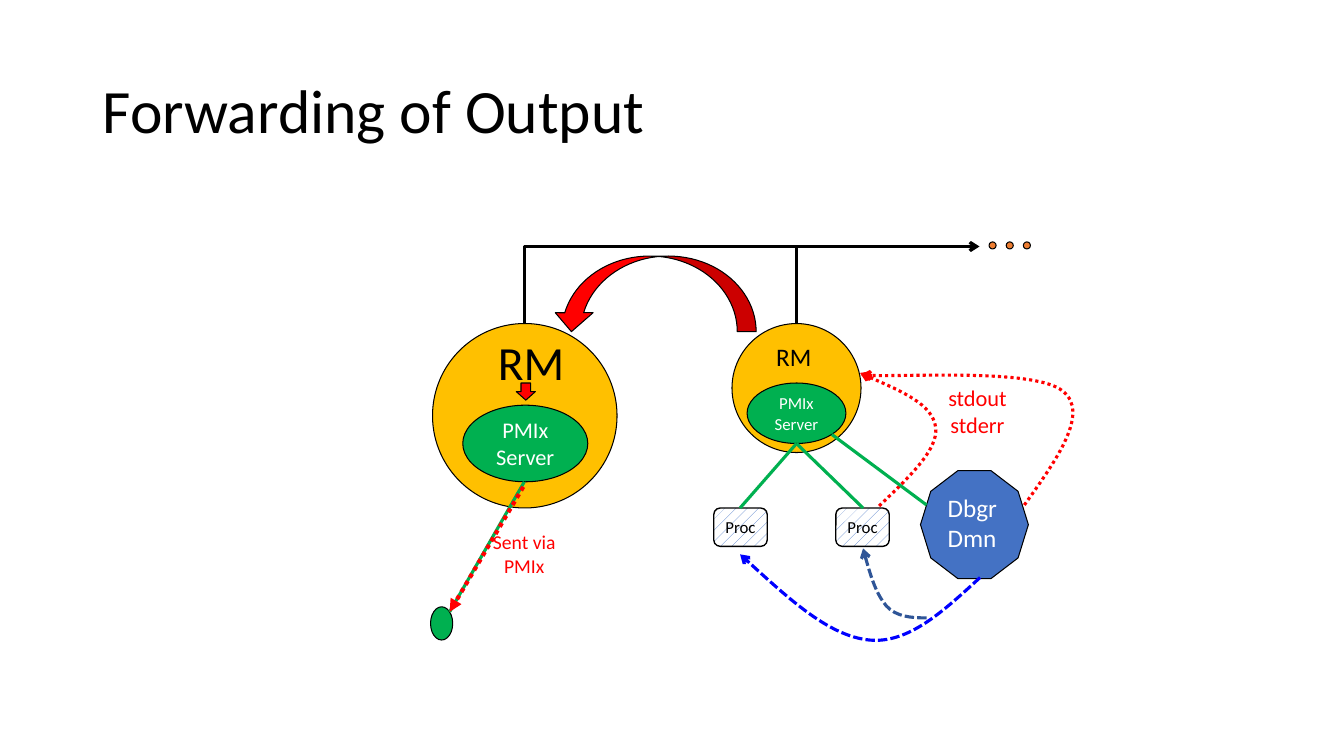
from dataclasses import dataclass
from typing import Optional

from lxml import etree
from pptx import Presentation
from pptx import util as u
from pptx.dml.color import RGBColor
from pptx.enum import dml, shapes, text
from pptx.oxml import ns

EMU_PER_PX = 9144  # 100 px to the inch
Preset = shapes.MSO_SHAPE
Dash = dml.MSO_LINE


@dataclass(frozen=True)
class Theme:
    font: str = "Calibri"
    black: str = "000000"
    white: str = "FFFFFF"
    gold: str = "FFC000"
    green: str = "00B050"
    blue: str = "4472C4"
    dark_blue: str = "2F5597"
    pure_blue: str = "0000FF"
    orange: str = "ED7D31"
    red: str = "FF0000"
    title: int = 44
    large: int = 34
    medium: int = 18
    body: int = 16
    note: int = 14
    small: int = 12
    outline: float = 0.75
    link: float = 2.25


THEME = Theme()


@dataclass
class Node:
    box: tuple[int, int, int, int]
    preset: Preset
    fill: str
    label: str = ""
    size: int = THEME.body
    color: str = THEME.white
    hatched: bool = False
    flip: bool = False


@dataclass
class Label:
    box: tuple[int, int, int, int]
    text: str
    size: int
    color: str
    centered: bool = False
    wrap: bool = False


@dataclass
class Link:
    start: tuple[int, int]
    end: tuple[int, int]
    color: str
    width: float = THEME.link
    dash: Optional[Dash] = None
    arrow: str = ""


@dataclass
class Curve:
    points: list[tuple[int, int]]  # start, then three Bézier points a section
    size: tuple[int, int]
    color: str
    dash: Dash


def px(length: int) -> int:
    return u.Emu(length * EMU_PER_PX)


def style_line(line, color: str, width: float, dash=None, arrow: str = "") -> None:
    line.color.rgb = RGBColor.from_string(color)
    line.width = u.Pt(width)
    if dash is not None:
        line.dash_style = dash
    if arrow:
        properties = line.fill._xPr
        etree.SubElement(properties, ns.qn("a:tailEnd"), type=arrow)


def write(frame, content: str, size: int, color: str, centered: bool) -> None:
    frame.text = content
    for paragraph in frame.paragraphs:
        paragraph.alignment = text.PP_ALIGN.CENTER if centered else text.PP_ALIGN.LEFT
        paragraph.font.name = THEME.font
        paragraph.font.size = u.Pt(size)
        paragraph.font.color.rgb = RGBColor.from_string(color)


def draw_node(slide, node: Node) -> None:
    shape = slide.shapes.add_shape(node.preset, *map(px, node.box))
    shape.shadow.inherit = False
    if node.hatched:
        shape.fill.patterned()
        shape.fill.pattern = dml.MSO_PATTERN.PERCENT_10
        shape.fill.fore_color.rgb = RGBColor.from_string(node.fill)
        shape.fill.back_color.rgb = RGBColor.from_string(THEME.white)
        shape.text_frame.margin_left = shape.text_frame.margin_right = 0
    else:
        shape.fill.solid()
        shape.fill.fore_color.rgb = RGBColor.from_string(node.fill)
    style_line(shape.line, THEME.black, 1 if node.hatched else THEME.outline)
    if node.flip:
        shape._element.spPr.find(ns.qn("a:xfrm")).set("flipH", "1")
    if node.label:
        shape.text_frame.vertical_anchor = text.MSO_ANCHOR.MIDDLE
        write(shape.text_frame, node.label, node.size, node.color, True)


def draw_label(slide, label: Label) -> None:
    frame = slide.shapes.add_textbox(*map(px, label.box)).text_frame
    frame.word_wrap = label.wrap
    frame.auto_size = text.MSO_AUTO_SIZE.SHAPE_TO_FIT_TEXT
    write(frame, label.text, label.size, label.color, label.centered)


def draw_link(slide, link: Link, kind=shapes.MSO_CONNECTOR.STRAIGHT):
    connector = slide.shapes.add_connector(kind, *map(px, link.start + link.end))
    style_line(connector.line, link.color, link.width, link.dash, link.arrow)
    etree.SubElement(connector._element.spPr, ns.qn("a:effectLst"))
    return connector


def draw_bus(slide, link: Link) -> None:
    """One-corner connector turned to run up, then right."""
    connector = draw_link(slide, link, shapes.MSO_CONNECTOR.ELBOW)
    properties = connector._element.spPr
    properties.find(ns.qn("a:xfrm")).set("rot", "16200000")
    properties.find(ns.qn("a:prstGeom")).set("prst", "bentConnector2")


def draw_curve(slide, curve: Curve) -> None:
    builder = slide.shapes.build_freeform(*curve.points[0], scale=EMU_PER_PX)
    builder.add_line_segments(curve.points[1:], close=False)
    shape = builder.convert_to_shape()
    outline = shape._element.spPr.find(".//" + ns.qn("a:path"))
    # Turn each three segments into one Bézier section
    segments = outline.findall(ns.qn("a:lnTo"))
    for first in range(0, len(segments), 3):
        section = etree.SubElement(outline, ns.qn("a:cubicBezTo"))
        for segment in segments[first:first + 3]:
            section.append(segment[0])
            outline.remove(segment)
    # Frame the visible curve rather than its control points
    shape.width, shape.height = map(px, curve.size)
    outline.set("w", str(curve.size[0]))
    outline.set("h", str(curve.size[1]))
    shape.shadow.inherit = False
    shape.fill.background()
    style_line(shape.line, curve.color, THEME.link, curve.dash, "arrow")


def build_parts() -> list:
    t = THEME
    oval = Preset.OVAL
    return [
        # Left resource manager and its tool
        Node((913, 467, 107, 107), Preset.DECAGON, t.blue),
        Node((429, 321, 183, 183), oval, t.gold),
        Label((484, 325, 87, 67), "RM", t.large, t.black),
        Node((459, 402, 124, 76), oval, t.green, "PMIx\nServer"),
        Node((427, 602, 22, 33), oval, t.green),
        Link((446, 607), (520, 478), t.green),
        # Right resource manager and its processes
        Node((726, 321, 128, 128), oval, t.gold),
        Label((760, 334, 55, 40), "RM", t.medium, t.black),
        Node((741, 380, 98, 60), oval, t.green, "PMIx\nServer", t.small),
        *[Node((left, 504, 53, 38), Preset.ROUNDED_RECTANGLE, t.blue, "Proc",
               t.small, t.black, hatched=True) for left in (708, 829)],
        *[Link((790, 440), (x, 504), t.green) for x in (734, 856)],
        Link((790, 245), (790, 321), t.black),
        *[Node((981 + 17 * i, 240, 7, 7), oval, t.orange) for i in range(3)],
        # Output path
        Curve([(872, 502), (901, 474), (931, 446), (928, 424),
               (925, 401), (889, 386), (853, 370)], (75, 133), t.red, Dash.ROUND_DOT),
        Label((930, 376, 79, 64), "stdout\nstderr", t.body, t.red, centered=True),
        Node((512, 380, 19, 17), Preset.DOWN_ARROW, t.red),
        Link((519, 483), (446, 607), t.red, 3, Dash.ROUND_DOT, "triangle"),
        Node((548, 254, 202, 75), Preset.CURVED_DOWN_ARROW, t.red, flip=True),
        Label((477, 521, 86, 57), "Sent via PMIx", t.note, t.red, centered=True, wrap=True),
        # Debugger daemon
        Label((930, 483, 70, 71), "Dbgr\nDmn", t.medium, t.white),
        Link((825, 431), (919, 501), t.green),
        Curve([(919, 613), (904, 613), (889, 612), (879, 601),
               (869, 589), (862, 567), (856, 544)], (62, 69), t.dark_blue, Dash.SQUARE_DOT),
        Curve([(972, 573), (936, 606), (901, 639), (862, 635),
               (822, 631), (778, 590), (734, 550)], (238, 86), t.pure_blue, Dash.SQUARE_DOT),
        Curve([(1016, 501), (1049, 455), (1081, 409), (1054, 388),
               (1028, 366), (883, 375), (854, 372)], (210, 135), t.red, Dash.ROUND_DOT),
    ]


def main() -> None:
    presentation = Presentation()
    presentation.slide_width, presentation.slide_height = px(1333), px(750)
    slide = presentation.slides.add_slide(presentation.slide_layouts[5])

    # Title
    title = slide.shapes.title
    title.left, title.top, title.width, title.height = map(px, (92, 40, 1150, 145))
    title.text_frame.vertical_anchor = text.MSO_ANCHOR.MIDDLE
    write(title.text_frame, "Forwarding of Output", THEME.title, THEME.black, False)
    title.text_frame.paragraphs[0].line_spacing = 0.9

    # Diagram
    draw = {Node: draw_node, Label: draw_label, Link: draw_link, Curve: draw_curve}
    draw_bus(slide, Link((708, 57), (784, 508), THEME.black, arrow="arrow"))
    for part in build_parts():
        draw[type(part)](slide, part)

    presentation.save("out.pptx")


if __name__ == "__main__":
    main()
